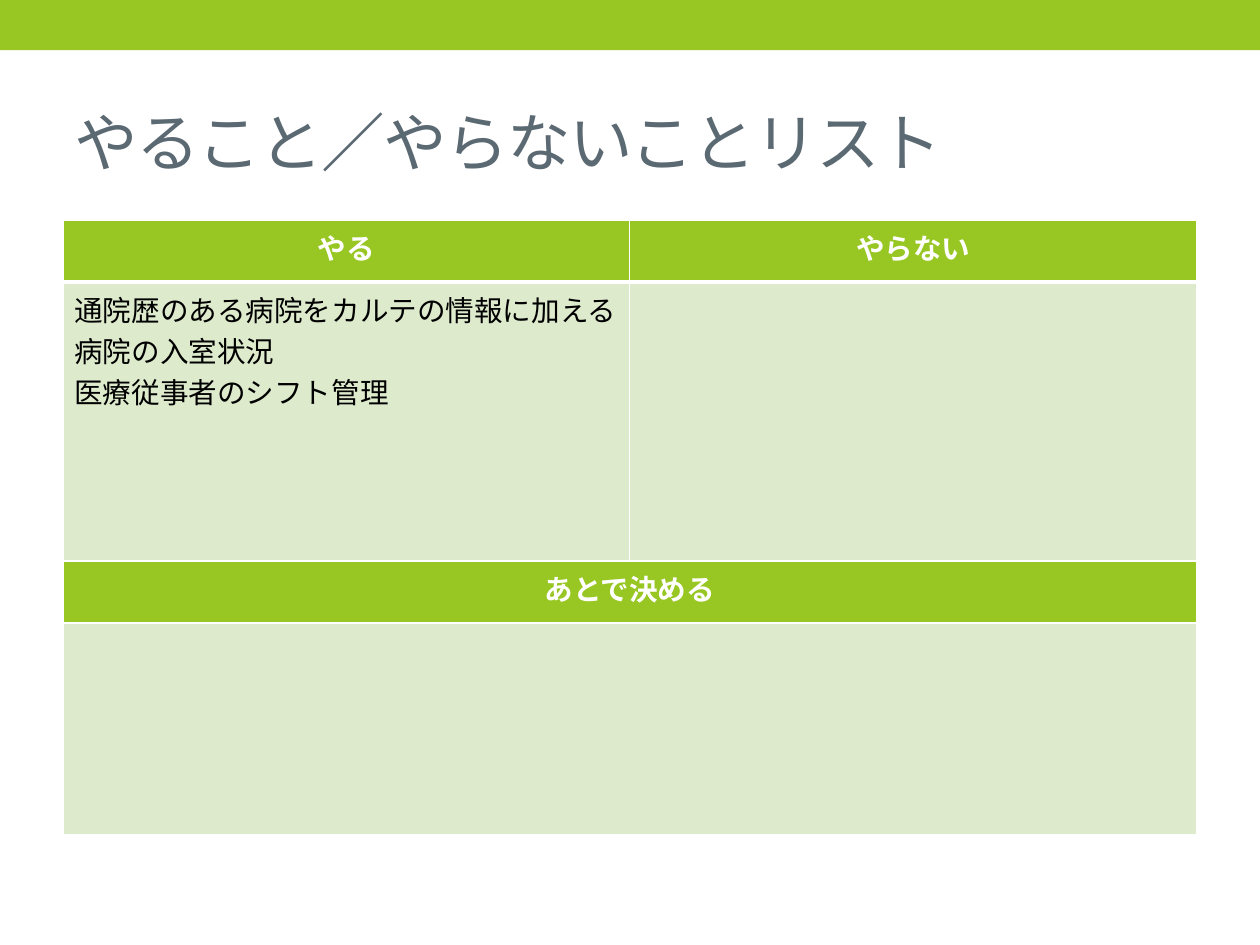
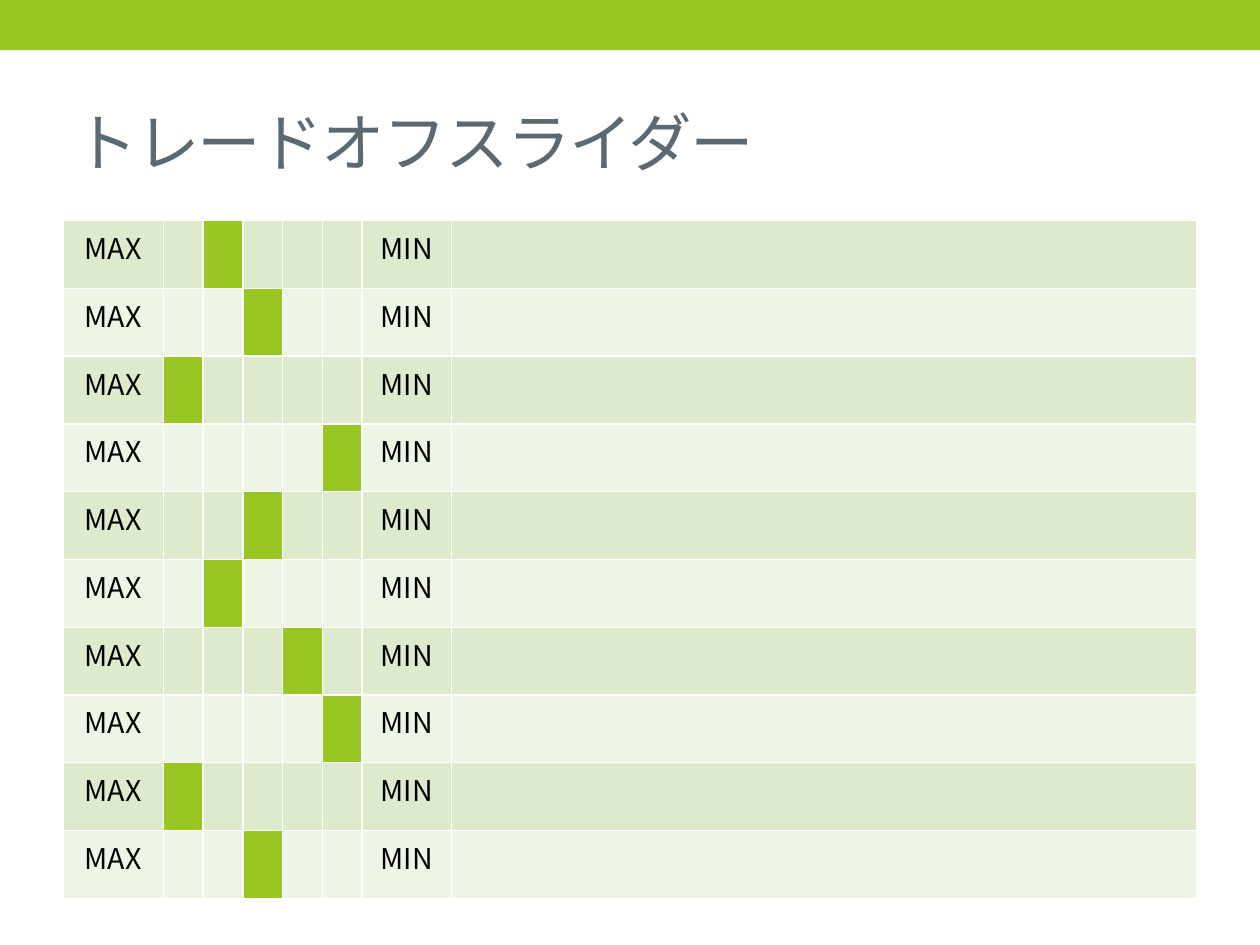
from pptx import Presentation
from pptx.dml.color import RGBColor
from pptx.enum.shapes import MSO_SHAPE, PP_PLACEHOLDER
from pptx.enum.text import MSO_ANCHOR, MSO_AUTO_SIZE, PP_ALIGN
from pptx.oxml import parse_xml
from pptx.oxml.ns import nsdecls, qn
from pptx.util import Inches, Pt

CM_PER_INCH = 2.54
SLIDE_WIDTH, SLIDE_HEIGHT = 28 / CM_PER_INCH, 21 / CM_PER_INCH
LEFT, CONTENT_WIDTH, TABLE_TOP = 0.55, 9.92, 1.93
FONT, BODY_FONT = "Noto Sans CJK JP", "Arial"
GREEN, PALE, PALER = "98C723", "DDEACC", "EEF5E7"
SLATE, WHITE, BLACK = "5B6973", "FFFFFF", "000000"
THIN, THICK = 0.96, 3
TITLE_ONLY = 5


def rgb(hex_code):
    """Return the colour for a hex string."""
    return RGBColor.from_string(hex_code)


def style_master_title(master):
    """Place the master title and set its text style."""
    title = master.placeholders.get(PP_PLACEHOLDER.TITLE)
    title.left, title.top = Inches(LEFT), Inches(0.64)
    title.width, title.height = Inches(CONTENT_WIDTH), Inches(1.19)
    title.text_frame.vertical_anchor = MSO_ANCHOR.MIDDLE
    title.text_frame.auto_size = MSO_AUTO_SIZE.NONE
    level = master.element.find(".//" + qn("p:titleStyle")).find(qn("a:lvl1pPr"))
    level.set("algn", "l")
    level.replace(level.find(qn("a:defRPr")), parse_xml(
        f'<a:defRPr {nsdecls("a")} sz="4000" spc="-100">'
        f'<a:solidFill><a:srgbClr val="{SLATE}"/></a:solidFill>'
        f'<a:latin typeface="{FONT}"/><a:ea typeface="{FONT}"/></a:defRPr>'))


def add_band(slide):
    """Draw the green band along the top edge."""
    band = slide.shapes.add_shape(
        MSO_SHAPE.RECTANGLE, 0, 0, Inches(SLIDE_WIDTH), Inches(0.44))
    band.shadow.inherit = False
    band.fill.solid()
    band.fill.fore_color.rgb = rgb(GREEN)
    band.line.fill.background()


def add_titled_slide(prs, title):
    """Add a slide with the top band and the given title."""
    slide = prs.slides.add_slide(prs.slide_layouts[TITLE_ONLY])
    add_band(slide)
    slide.shapes.title.text_frame.paragraphs[0].add_run().text = title
    return slide


def add_grid(slide, widths, heights):
    """Add a plain table with the given column widths and row heights."""
    table = slide.shapes.add_table(
        len(heights), len(widths), Inches(LEFT), Inches(TABLE_TOP),
        Inches(sum(widths)), Inches(sum(heights))).table
    table.first_row = table.horz_banding = False
    for column, width in zip(table.columns, widths):
        column.width = Inches(width)
    for row, height in zip(table.rows, heights):
        row.height = Inches(height)
    return table


def paint_cell(cell, fill, bottom=THIN):
    """Fill a cell and give it white borders."""
    cell.fill.solid()
    cell.fill.fore_color.rgb = rgb(fill)
    properties = cell._tc.get_or_add_tcPr()
    for place, (side, points) in enumerate(
            zip("LRTB", (THIN, THIN, THIN, bottom))):
        properties.insert(place, parse_xml(
            f'<a:ln{side} {nsdecls("a")} w="{int(Pt(points))}"><a:solidFill>'
            f'<a:srgbClr val="{WHITE}"/></a:solidFill></a:ln{side}>'))


def write_cell(cell, lines, color=BLACK, bold=False, align=PP_ALIGN.CENTER, font=FONT):
    """Write one paragraph per line into a cell."""
    frame = cell.text_frame
    for index, line in enumerate(lines):
        paragraph = frame.add_paragraph() if index else frame.paragraphs[0]
        paragraph.alignment = align
        run = paragraph.add_run()
        run.text = line
        run.font.size, run.font.bold = Pt(18), bold
        run.font.color.rgb = rgb(color)
        run.font.name = font
        run.font._element.find(qn("a:latin")).addnext(
            parse_xml(f'<a:ea {nsdecls("a")} typeface="{FONT}"/>'))


def add_scope_table(slide):
    """Add the table of what to do, what not to do and what to decide later."""
    table = add_grid(slide, [CONTENT_WIDTH / 2] * 2, [0.54, 2.44, 0.54, 1.85])
    row_styles = [(GREEN, THICK), (PALE, THIN), (GREEN, THIN), (PALE, THIN)]
    for row, style in zip(table.rows, row_styles):
        for cell in row.cells:
            paint_cell(cell, *style)
    for row in (2, 3):
        table.cell(row, 0).merge(table.cell(row, 1))
    for row, column, heading in [(0, 0, "やる"), (0, 1, "やらない"), (2, 0, "あとで決める")]:
        write_cell(table.cell(row, column), [heading], WHITE, bold=True)
    write_cell(table.cell(1, 0),
               ["通院歴のある病院をカルテの情報に加える", "病院の入室状況", "医療従事者のシフト管理"],
               align=PP_ALIGN.LEFT, font=BODY_FONT)


def add_slider_table(slide, levels):
    """Add one slider row per level, counted from 1 at the MAX end."""
    max_width, scale_width, min_width, steps = 0.88, 1.74, 0.78, 5
    theme_width = CONTENT_WIDTH - max_width - scale_width - min_width
    widths = [max_width, *[scale_width / steps] * steps, min_width, theme_width]
    table = add_grid(slide, widths, [5.93 / len(levels)] * len(levels))
    for index, (row, level) in enumerate(zip(table.rows, levels)):
        stripe = PALER if index % 2 else PALE
        for column, cell in enumerate(row.cells):
            paint_cell(cell, GREEN if column == level else stripe)
        write_cell(row.cells[0], ["MAX"])
        write_cell(row.cells[steps + 1], ["MIN"])


def main():
    """Build and save the presentation."""
    prs = Presentation()
    prs.slide_width, prs.slide_height = Inches(SLIDE_WIDTH), Inches(SLIDE_HEIGHT)
    style_master_title(prs.slide_master)
    scope = add_titled_slide(prs, "やること／やらないことリスト")
    add_scope_table(scope)
    sliders = add_titled_slide(prs, "トレードオフスライダー")
    add_slider_table(sliders, [2, 3, 1, 5, 3, 2, 4, 5, 1, 3])
    prs.save("out.pptx")


if __name__ == "__main__":
    main()
